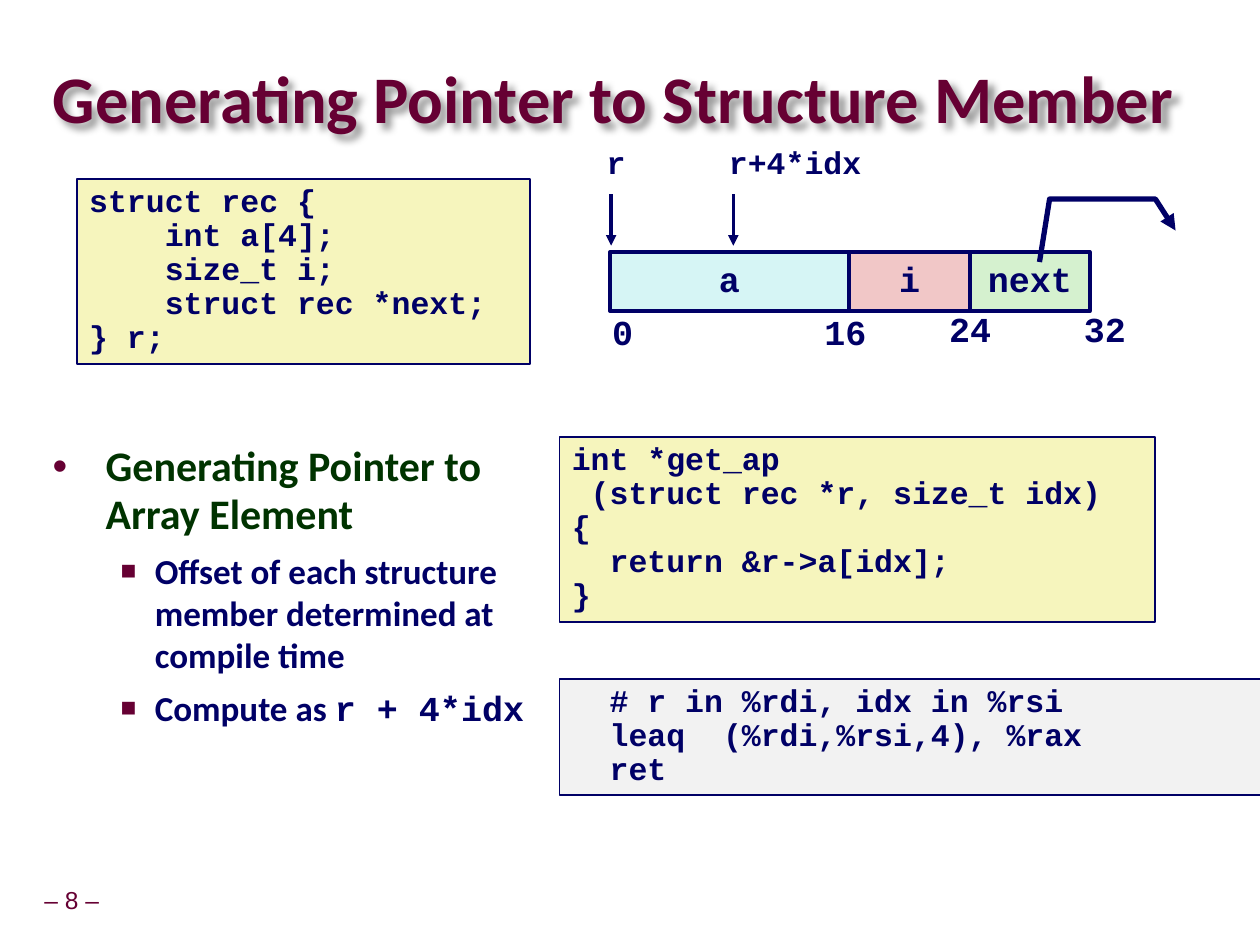
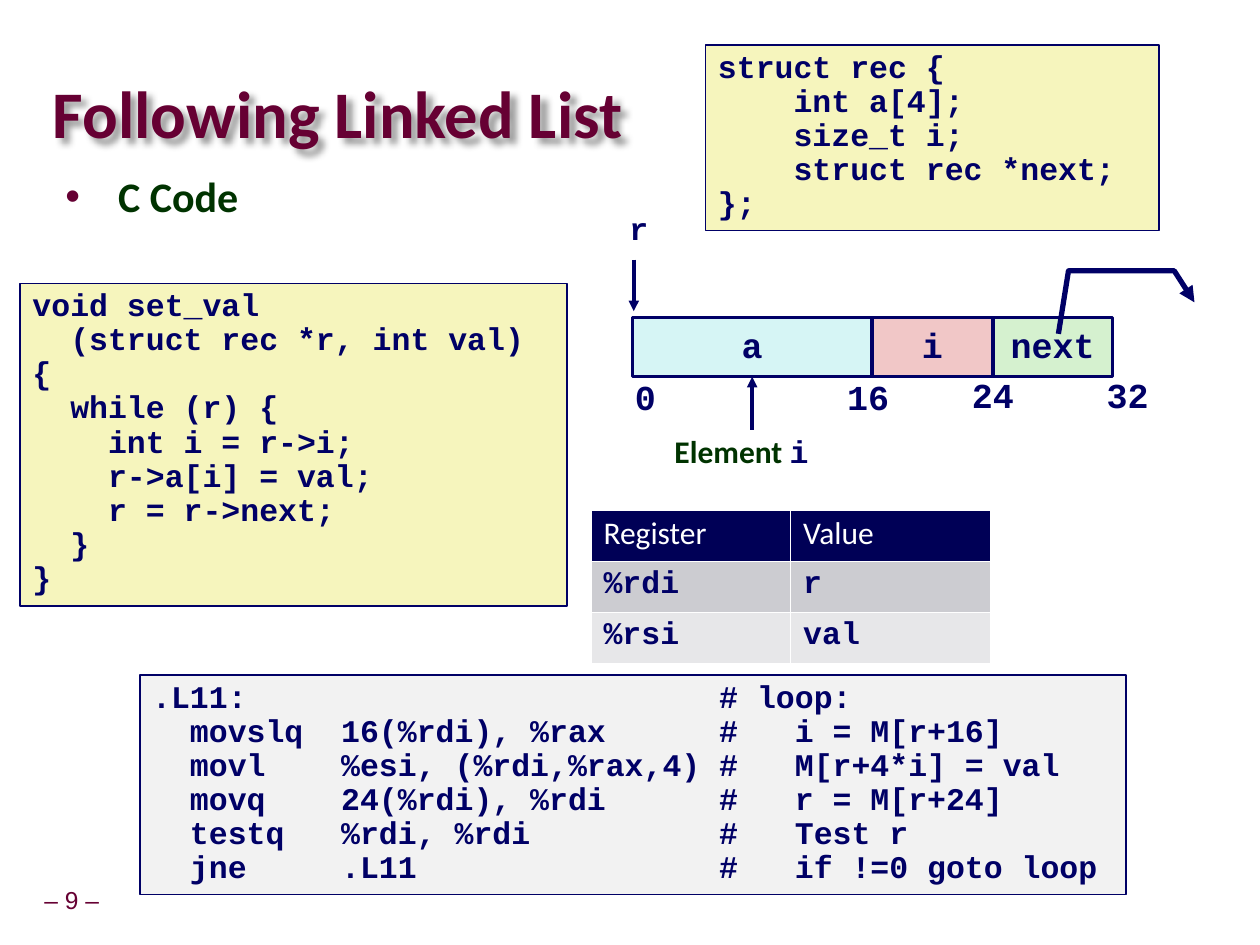
from lxml import etree
from pptx import Presentation
from pptx import util as u
from pptx.dml.color import RGBColor
from pptx.enum import shapes, text
from pptx.oxml.ns import qn

COLORS = {
    "maroon": "660033", "navy": "000066", "green": "003300", "white": "FFFFFF",
    "code": "F6F5BD", "assembly": "F2F2F2",
    "a": "D6F5F5", "i": "F1C7C7", "next": "D5F1CF",
    "header": "000056", "band_dark": "CCCCD1", "band_light": "E7E7E9",
}
COLORS = {name: RGBColor.from_string(value) for name, value in COLORS.items()}
MONO, SANS = "Courier New", "Calibri"
LEFT, CENTER = text.PP_ALIGN.LEFT, text.PP_ALIGN.CENTER
TOP, MIDDLE = text.MSO_ANCHOR.TOP, text.MSO_ANCHOR.MIDDLE


def add_text(slide, box, lines, size=18, font=MONO, color="navy", bold=True, align=LEFT,
             anchor=TOP, wrap=True, margins=(0.1, 0.05), spacing=0.9, fill=None, border=1):
    position = [u.Inches(value) for value in box]
    if fill:
        shape = slide.shapes.add_shape(shapes.MSO_SHAPE.RECTANGLE, *position)
        shape.shadow.inherit = False
        shape.fill.solid()
        shape.fill.fore_color.rgb = COLORS[fill]
        shape.line.color.rgb = COLORS["navy"]
        shape.line.width = u.Pt(border)
    else:
        shape = slide.shapes.add_textbox(*position)
    frame = shape.text_frame
    frame.word_wrap = wrap
    frame.vertical_anchor = anchor
    frame.margin_left = frame.margin_right = u.Inches(margins[0])
    frame.margin_top = frame.margin_bottom = u.Inches(margins[1])
    for index, line in enumerate(lines):
        paragraph = frame.add_paragraph() if index else frame.paragraphs[0]
        paragraph.alignment = align
        paragraph.line_spacing = spacing
        runs = [(line, font, color)] if isinstance(line, str) else line
        for words, run_font, run_color in runs:
            run = paragraph.add_run()
            run.text = words
            run.font.size = u.Pt(size)
            run.font.name = run_font
            run.font.bold = bold
            run.font.color.rgb = COLORS[run_color]
    return shape


def add_arrow(slide, points, width=2):
    points = [(u.Inches(x), u.Inches(y)) for x, y in points]
    if len(points) == 2:
        arrow = slide.shapes.add_connector(shapes.MSO_CONNECTOR.STRAIGHT, *points[0], *points[1])
    else:
        builder = slide.shapes.build_freeform(*points[0])
        builder.add_line_segments(points[1:], close=False)
        arrow = builder.convert_to_shape()
        arrow.fill.background()
    arrow.line.color.rgb = COLORS["navy"]
    arrow.line.width = u.Pt(width)
    etree.SubElement(arrow.line._get_or_add_ln(), qn("a:tailEnd"), type="triangle")
    etree.SubElement(arrow._element.spPr, qn("a:effectLst"))
    return arrow


STRUCT = ["struct rec {", "    int a[4];", "    size_t i;", "    struct rec *next;"]
pages = [
    {
        "number": 8,
        "title": "Generating Pointer to Structure Member",
        "title_box": (0.42, 0.5, 9.08, 0.63),
        "body_box": (0.32, 3.47, 4.29, 3.13),
        "bullets": [
            (0, [("Generating Pointer to Array Element", SANS, "green")]),
            (1, [("Offset of each structure member determined at compile time", SANS, "navy")]),
            (1, [("Compute as ", SANS, "navy"), ("r + 4*idx", MONO, "navy")]),
        ],
        "code": [
            ("assembly", (4.44, 5.39, 5.57, 0.92),
             ["  # r in %rdi, idx in %rsi", "  leaq  (%rdi,%rsi,4), %rax", "  ret"]),
            ("code", (4.44, 3.47, 4.73, 1.47),
             ["int *get_ap", " (struct rec *r, size_t idx)", "{",
              "  return &r->a[idx];", "}"]),
            ("code", (0.61, 1.42, 3.6, 1.47), STRUCT + ["} r;"]),
        ],
        "record": (4.84, 2),
        "pointer": (8.25, 2.08),
    },
    {
        "number": 9,
        "title": "Following Linked List",
        "title_box": (0.42, 0.62, 7.9, 0.63),
        "body_box": (0.42, 1.33, 3.33, 0.78),
        "bullets": [(0, [("C Code", SANS, "green")])],
        "code": [
            ("assembly", (1.11, 5.36, 7.83, 1.74),
             [".L11:                         # loop:",
              "  movslq  16(%rdi), %rax      #   i = M[r+16]",
              "  movl    %esi, (%rdi,%rax,4) #   M[r+4*i] = val",
              "  movq    24(%rdi), %rdi      #   r = M[r+24]",
              "  testq   %rdi, %rdi          #   Test r",
              "  jne     .L11                #   if !=0 goto loop"]),
            ("code", (0.16, 2.25, 4.34, 2.56),
             ["void set_val", "  (struct rec *r, int val)", "{", "  while (r) {",
              "    int i = r->i;", "    r->a[i] = val;", "    r = r->next;", "  }", "}"]),
            ("code", (5.6, 0.36, 3.6, 1.47), STRUCT + ["};"]),
        ],
        "record": (5.02, 2.52),
        "pointer": (8.4, 2.65),
    },
]
LEVELS = [
    {"size": 24, "spacing": 0.95, "margin": 0.42, "hang": 0.42, "mark": "•", "percent": 100},
    {"size": 20, "spacing": 1.0, "margin": 0.81, "hang": 0.27, "mark": "■", "percent": 75},
]
FIELDS = [("a", 0, 1.9), ("i", 1.9, 0.96), ("next", 2.86, 0.95)]
OFFSETS = [("0", -0.08, 0.45, 0.36), ("16", 1.6, 0.45, 0.54),
           ("24", 2.59, 0.43, 0.54), ("32", 3.66, 0.43, 0.54)]

presentation = Presentation()
presentation.slide_width = u.Inches(10)
presentation.slide_height = u.Inches(7.5)
built = []

for page in pages:
    slide = presentation.slides.add_slide(presentation.slide_layouts[6])
    add_text(slide, (0.24, 7, 0.66, 0.31), [f"– {page['number']} –"], 14, "Arial", "maroon",
             bold=False, align=CENTER, anchor=MIDDLE, wrap=False, margins=(0.05, 0.05))

    title = add_text(slide, page["title_box"], [page["title"]], 38, SANS, "maroon",
                     anchor=MIDDLE, margins=(0, 0), spacing=0.87)
    effects = etree.SubElement(title._element.spPr, qn("a:effectLst"))
    shadow = etree.SubElement(effects, qn("a:outerShdw"), blurRad=str(u.Pt(4)),
                              dist=str(u.Pt(4)), dir="2700000", algn="tl", rotWithShape="0")
    shade = etree.SubElement(shadow, qn("a:srgbClr"), val="000000")
    etree.SubElement(shade, qn("a:alpha"), val="40000")

    body = add_text(slide, page["body_box"], [runs for level, runs in page["bullets"]])
    for paragraph, (level, runs) in zip(body.text_frame.paragraphs, page["bullets"]):
        style = LEVELS[level]
        paragraph.level = level
        paragraph.line_spacing = style["spacing"]
        if level:
            paragraph.space_before = u.Pt(6)
        for run in paragraph.runs:
            run.font.size = u.Pt(style["size"])
        properties = paragraph._p.get_or_add_pPr()
        properties.set("marL", str(u.Inches(style["margin"])))
        properties.set("indent", str(-u.Inches(style["hang"])))
        bullet_color = etree.SubElement(properties, qn("a:buClr"))
        etree.SubElement(bullet_color, qn("a:srgbClr"), val=str(COLORS["maroon"]))
        etree.SubElement(properties, qn("a:buSzPct"), val=str(style["percent"] * 1000))
        etree.SubElement(properties, qn("a:buFont"), typeface="Arial")
        etree.SubElement(properties, qn("a:buChar"), char=style["mark"])

    for fill, box, lines in page["code"]:
        add_text(slide, box, lines, fill=fill)

    left, top = page["record"]
    fields = {}
    for name, offset, width in FIELDS:
        fields[name] = add_text(slide, (left + offset, top, width, 0.47), [name], 20, align=CENTER,
                                anchor=MIDDLE, wrap=False, fill=name, border=2)
    for label, across, down, width in OFFSETS:
        add_text(slide, (left + across, top + down, width, 0.43), [label], 20,
                 align=CENTER, wrap=False)
    add_text(slide, (left - 0.15, top - 0.88, 0.4, 0.5), ["r"], align=CENTER, wrap=False)
    add_arrow(slide, [(left + 0.01, top - 0.46), (left + 0.01, top - 0.05)])
    x, y = page["pointer"]
    add_arrow(slide, [(x, y), (x + 0.08, y - 0.5), (x + 0.92, y - 0.5), (x + 1.08, y - 0.25)], 3)
    built.append((slide, fields))

member_slide, list_slide = [slide for slide, fields in built]
add_text(member_slide, (5.5, 1.12, 1.62, 0.5), ["r+4*idx"], align=CENTER, wrap=False)
add_arrow(member_slide, [(5.82, 1.54), (5.82, 1.95)])

add_text(list_slide, (5.05, 3.41, 1.67, 0.42),
         [[("Element ", SANS, "green"), ("i", MONO, "navy")]], align=CENTER)
element_arrow = add_arrow(list_slide, [(5.97, 3.41), (5.97, 2.99)])
element_arrow.end_connect(built[1][1]["a"], 2)

rows = [("Register", "Value"), ("%rdi", "r"), ("%rsi", "val")]
row_fills = ["header", "band_dark", "band_light"]
table = list_slide.shapes.add_table(3, 2, u.Inches(4.69), u.Inches(4.05),
                                    u.Inches(3.17), u.Inches(1.22)).table
for row_index, (values, fill) in enumerate(zip(rows, row_fills)):
    for column_index, value in enumerate(values):
        cell = table.cell(row_index, column_index)
        for side in ("a:lnL", "a:lnR", "a:lnT", "a:lnB"):
            border = etree.SubElement(cell._tc.get_or_add_tcPr(), qn(side), w=str(u.Pt(1)))
            paint = etree.SubElement(border, qn("a:solidFill"))
            etree.SubElement(paint, qn("a:srgbClr"), val=str(COLORS["white"]))
        cell.fill.solid()
        cell.fill.fore_color.rgb = COLORS[fill]
        paragraph = cell.text_frame.paragraphs[0]
        paragraph.line_spacing = 0.9
        run = paragraph.add_run()
        run.text = value
        run.font.size = u.Pt(18)
        run.font.name = MONO if row_index else SANS
        run.font.bold = row_index > 0
        run.font.color.rgb = COLORS["navy" if row_index else "white"]

presentation.save("out.pptx")
